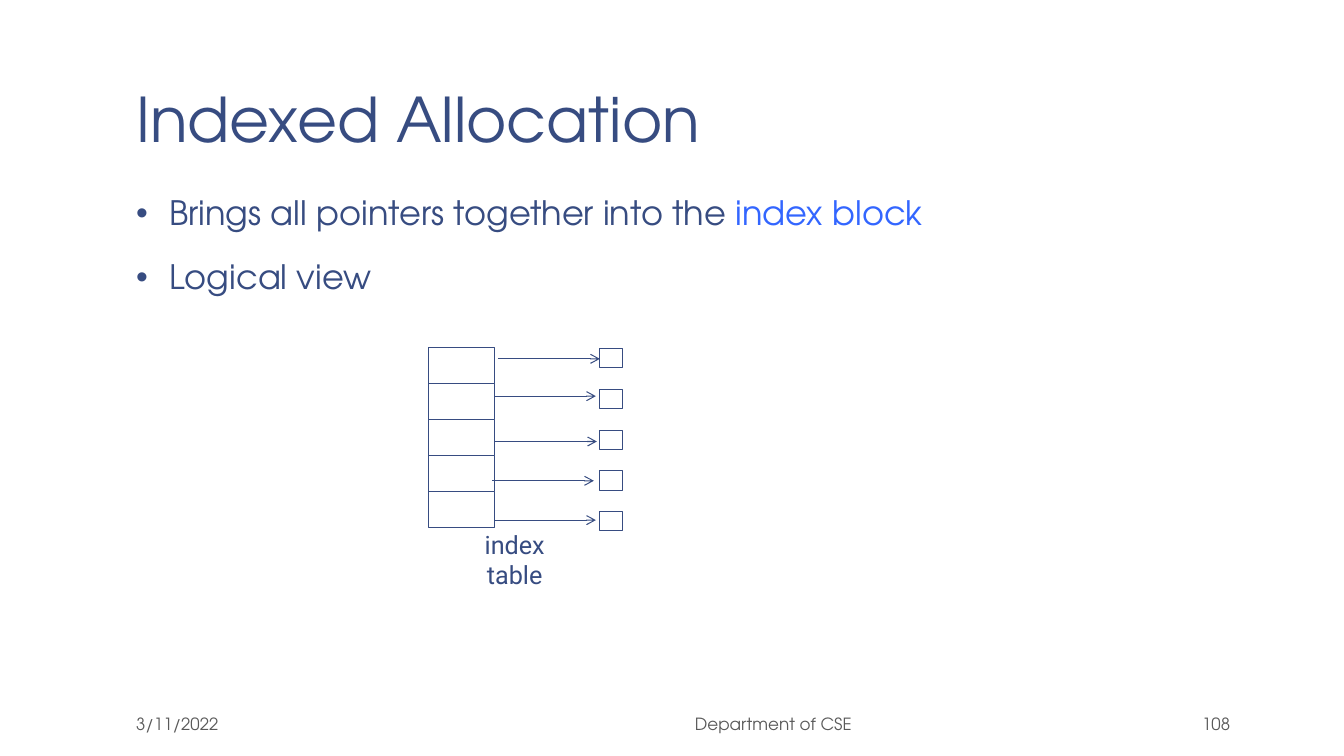
from lxml.etree import SubElement
from pptx import Presentation
from pptx.dml.color import RGBColor
from pptx.enum.shapes import MSO_CONNECTOR, MSO_SHAPE
from pptx.enum.text import MSO_ANCHOR as ANCHOR, PP_ALIGN as ALIGN
from pptx.oxml.ns import qn
from pptx.util import Inches, Pt

NAVY = RGBColor(0x37, 0x4C, 0x81)
BLUE = RGBColor(0x33, 0x66, 0xFF)
GRAY = RGBColor(0x59, 0x59, 0x59)
WHITE = RGBColor(0xFF, 0xFF, 0xFF)
MAIN_FONT, LABEL_FONT = "TeX Gyre Adventor", "Roboto"
SLIDE_W, SLIDE_H = 13.33, 7.5
LEFT, WIDTH = 1.22, 11.11


def add_box(s, left, top, width, height, anchor=ANCHOR.TOP):
    tb = s.shapes.add_textbox(*map(Inches, (left, top, width, height)))
    tf = tb.text_frame
    tf.word_wrap = True
    tf.vertical_anchor = anchor
    tf.margin_left = tf.margin_right = Inches(0.13)
    tf.margin_top = tf.margin_bottom = Inches(0.07)
    return tf


def add_run(p, text, size, color, font=MAIN_FONT):
    r = p.add_run()
    r.text = text
    r.font.size = Pt(size)
    r.font.name = font
    r.font.color.rgb = color


def add_title(s, left, top, width, height):
    p = add_box(s, left, top, width, height, ANCHOR.BOTTOM).paragraphs[0]
    p.line_spacing = 0.85
    add_run(p, "Indexed Allocation", 44, NAVY)


def add_bullets(s, left, top, width, height):
    tf = add_box(s, left, top, width, height)
    bullets = [
        [("Brings all pointers together into the ", NAVY), ("index block", BLUE)],
        [("Logical view", NAVY)],
    ]
    for i, runs in enumerate(bullets):
        p = tf.add_paragraph() if i else tf.paragraphs[0]
        p.line_spacing = 0.95
        if i:
            p.space_before = Pt(18.7)
        pPr = p._p.get_or_add_pPr()
        pPr.set("marL", str(Inches(0.33)))
        pPr.set("indent", str(-Inches(0.33)))
        SubElement(pPr, qn("a:buFont"), typeface="Arial")
        SubElement(pPr, qn("a:buChar"), char="•")
        for text, color in runs:
            add_run(p, text, 24, color)


def add_cell(s, left, top, width, height):
    sp = s.shapes.add_shape(MSO_SHAPE.RECTANGLE, *map(Inches, (left, top, width, height)))
    sp.shadow.inherit = False
    sp.fill.solid()
    sp.fill.fore_color.rgb = WHITE
    sp.line.color.rgb = NAVY
    sp.line.width = Pt(0.75)


def add_arrow(s, x, y, length):
    cn = s.shapes.add_connector(MSO_CONNECTOR.STRAIGHT, *map(Inches, (x, y, x + length, y)))
    cn.line.color.rgb = NAVY
    cn.line.width = Pt(0.75)
    SubElement(cn.line._get_or_add_ln(), qn("a:tailEnd"), type="arrow")
    SubElement(cn._element.spPr, qn("a:effectLst"))


def add_index_diagram(s, left, top, width, height):
    # Index table rows on the left, data blocks on the right
    arrows = [(0.69, 0.11), (0.65, 0.48), (0.66, 0.93), (0.63, 1.32), (0.65, 1.71)]
    row_h = height / len(arrows)
    block_w, block_h, block_pitch = 0.22, 0.19, 0.404
    for i in range(len(arrows)):
        add_cell(s, left, top + i * row_h, 0.66, row_h)
        add_cell(s, left + width - block_w, top + 0.01 + i * block_pitch, block_w, block_h)

    # Pointers from the table to the blocks
    for dx, dy in arrows:
        add_arrow(s, left + dx, top + dy, 1.01)

    # Caption
    tf = add_box(s, left + 0.15, top + height + 0.12, 1.41, 0.4, ANCHOR.MIDDLE)
    tf.word_wrap = False
    p = tf.paragraphs[0]
    p.alignment = ALIGN.CENTER
    add_run(p, "index table", 18, NAVY, LABEL_FONT)


def add_footer(s, left, top, width, height):
    parts = [
        ("3/11/2022", 0, 3, ALIGN.LEFT),
        ("Department of CSE", 3.05, 6.8, ALIGN.CENTER),
        ("108", width - 1.21, 1.21, ALIGN.RIGHT),
    ]
    for text, dx, part_w, align in parts:
        p = add_box(s, left + dx, top, part_w, height, ANCHOR.BOTTOM).paragraphs[0]
        p.alignment = align
        add_run(p, text, 12, GRAY)


def main():
    prs = Presentation()
    prs.slide_width, prs.slide_height = Inches(SLIDE_W), Inches(SLIDE_H)
    s = prs.slides.add_slide(prs.slide_layouts[6])
    s.background.fill.solid()
    s.background.fill.fore_color.rgb = WHITE
    add_title(s, LEFT, 0.08, WIDTH, 1.53)
    add_bullets(s, LEFT, 1.86, WIDTH, 4.89)
    add_index_diagram(s, 4.25, 3.45, 1.92, 1.78)
    add_footer(s, LEFT, 7, WIDTH, 0.35)
    prs.save("out.pptx")


if __name__ == "__main__":
    main()
